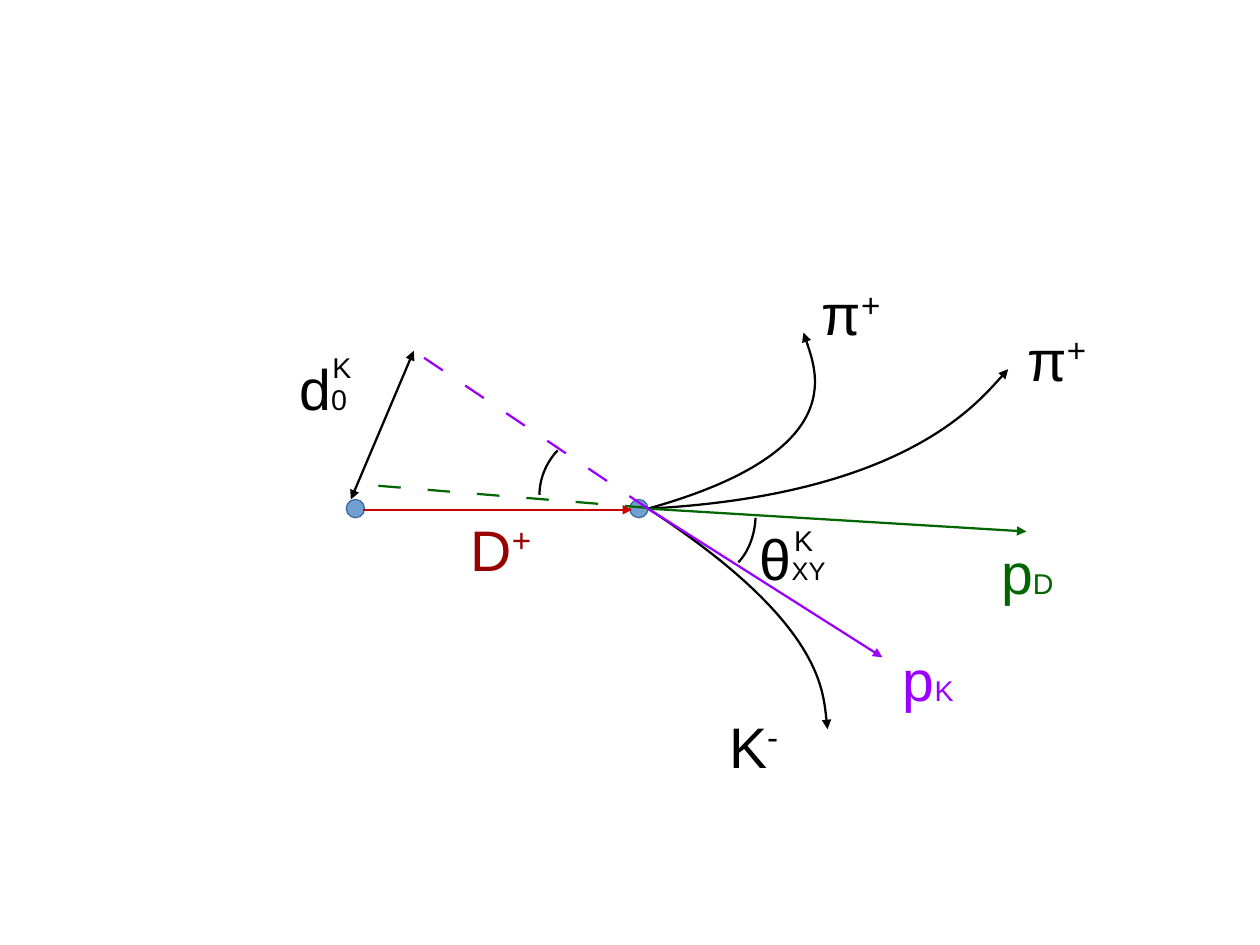
from lxml import etree
from pptx import Presentation
from pptx.dml.color import RGBColor
from pptx.enum.shapes import MSO_CONNECTOR, MSO_SHAPE
from pptx.enum.text import MSO_AUTO_SIZE
from pptx.oxml.ns import qn
from pptx.util import Inches, Pt

STRAIGHT = MSO_CONNECTOR.STRAIGHT
OVAL = MSO_SHAPE.OVAL
FIT_SHAPE = MSO_AUTO_SIZE.SHAPE_TO_FIT_TEXT

BLACK, RED, DARK_RED = "000000", "CC0000", "990000"
GREEN, PURPLE = "006600", "9900FF"
DECAY = (5.67, 4.45)


def rgb(value):
    return RGBColor.from_string(value)


def style_stroke(stroke, color, ends=(), dashed=False):
    stroke.line.color.rgb = rgb(color)
    stroke.line.width = Pt(1.42)
    outline = stroke.line._get_or_add_ln()
    if dashed:
        pattern = etree.SubElement(outline, qn("a:custDash"))
        etree.SubElement(pattern, qn("a:ds"), d="1000000", sp="1200000")
    for end in ends:
        etree.SubElement(outline, qn(f"a:{end}End"), type="triangle")


prs = Presentation()
prs.slide_width = Inches(28 / 2.54)
prs.slide_height = Inches(21 / 2.54)
slide = prs.slides.add_slide(prs.slide_layouts[6])
shapes = slide.shapes

tracks = [
    ((3.18, 4.46), (5.53, 4.46), RED, ["tail"], False),
    ((3.62, 3.07), (3.07, 4.37), BLACK, ["head", "tail"], False),
    (DECAY, (8.98, 4.65), GREEN, ["tail"], False),
    ((3.31, 4.25), (5.75, 4.45), GREEN, [], True),
    (DECAY, (7.72, 5.75), PURPLE, ["tail"], False),
    (DECAY, (3.62, 3.07), PURPLE, [], True),
]

curves = [
    (DECAY, (7.24, 5.47), (7.24, 6.38), ["tail"]),
    (DECAY, (7.5, 3.94), (7.03, 2.91), ["tail"]),
    (DECAY, (7.95, 4.33), (8.82, 3.23), ["tail"]),
    ((6.46, 4.92), (6.61, 4.76), (6.61, 4.53), []),
    ((4.72, 4.33), (4.72, 4.09), (4.88, 3.94), []),
]

for start, bend, end, arrowheads in curves:
    builder = shapes.build_freeform(Inches(start[0]), Inches(start[1]))
    builder.add_line_segments(
        [(Inches(x), Inches(y)) for x, y in (bend, end, end)], close=False
    )
    curve = builder.convert_to_shape()
    route = curve._element.find(".//" + qn("a:path"))
    bezier = etree.SubElement(route, qn("a:cubicBezTo"))
    for segment in route.findall(qn("a:lnTo")):
        bezier.append(segment[0])
        route.remove(segment)
    right = max(
        start[0] * (1 - t) ** 3
        + 3 * bend[0] * t * (1 - t) ** 2
        + end[0] * (3 * t**2 * (1 - t) + t**3)
        for t in [step / 100 for step in range(101)]
    )
    curve.width = Inches(right - start[0])
    route.set("w", str(curve.width))
    curve.fill.background()
    curve.shadow.inherit = False
    style_stroke(curve, BLACK, arrowheads)

for vertex_left in (3.03, 5.51):
    vertex = shapes.add_shape(
        OVAL, Inches(vertex_left), Inches(4.37), Inches(0.16), Inches(0.16)
    )
    vertex.shadow.inherit = False
    vertex.fill.solid()
    vertex.fill.fore_color.rgb = rgb("729FCF")
    vertex.line.color.rgb = rgb("3465A4")
    vertex.line.width = Pt(0)

for start, end, color, arrowheads, dashed in tracks:
    track = shapes.add_connector(STRAIGHT, *[Inches(v) for v in start + end])
    style_stroke(track, color, arrowheads, dashed)
    etree.SubElement(track._element.spPr, qn("a:effectLst"))

labels = [
    ((4.02, 4.45, 0.74, 0.68), DARK_RED, [("D", 36, False), ("+", 36, True)], False),
    ((8.66, 4.65, 0.67, 0.66), GREEN, [("p", 36, False), ("D", 18, False)], False),
    ((7.8, 5.59, 0.65, 0.66), PURPLE, [("p", 36, False), ("K", 18, False)], False),
    ((6.28, 6.17, 0.64, 0.68), BLACK, [("K", 36, False), ("-", 36, True)], False),
    ((7.09, 2.39, 0.72, 0.68), BLACK, [("π", 36, False), ("+", 36, True)], False),
    ((8.89, 2.79, 0.72, 0.68), BLACK, [("π", 36, False), ("+", 36, True)], False),
    ((2.52, 3.04, 0.62, 0.66), BLACK, [("d", 36, False), ("0", 18, False)], False),
    ((6.85, 4.53, 0.36, 0.38), BLACK, [("K", 18, False)], True),
    ((6.55, 4.53, 0.78, 0.66), BLACK, [("θ", 36, False), ("XY", 16, False)], False),
    ((2.81, 3.01, 0.36, 0.38), BLACK, [("K", 18, False)], True),
]

for box, color, parts, wraps in labels:
    label = shapes.add_textbox(*[Inches(v) for v in box])
    label.text_frame.word_wrap = wraps
    label.text_frame.auto_size = FIT_SHAPE
    for text, size, raised in parts:
        run = label.text_frame.paragraphs[0].add_run()
        run.text = text
        run.font.name = "Arial"
        run.font.size = Pt(size)
        run.font.color.rgb = rgb(color)
        if raised:
            run.font._element.set("baseline", "33000")

prs.save("out.pptx")
